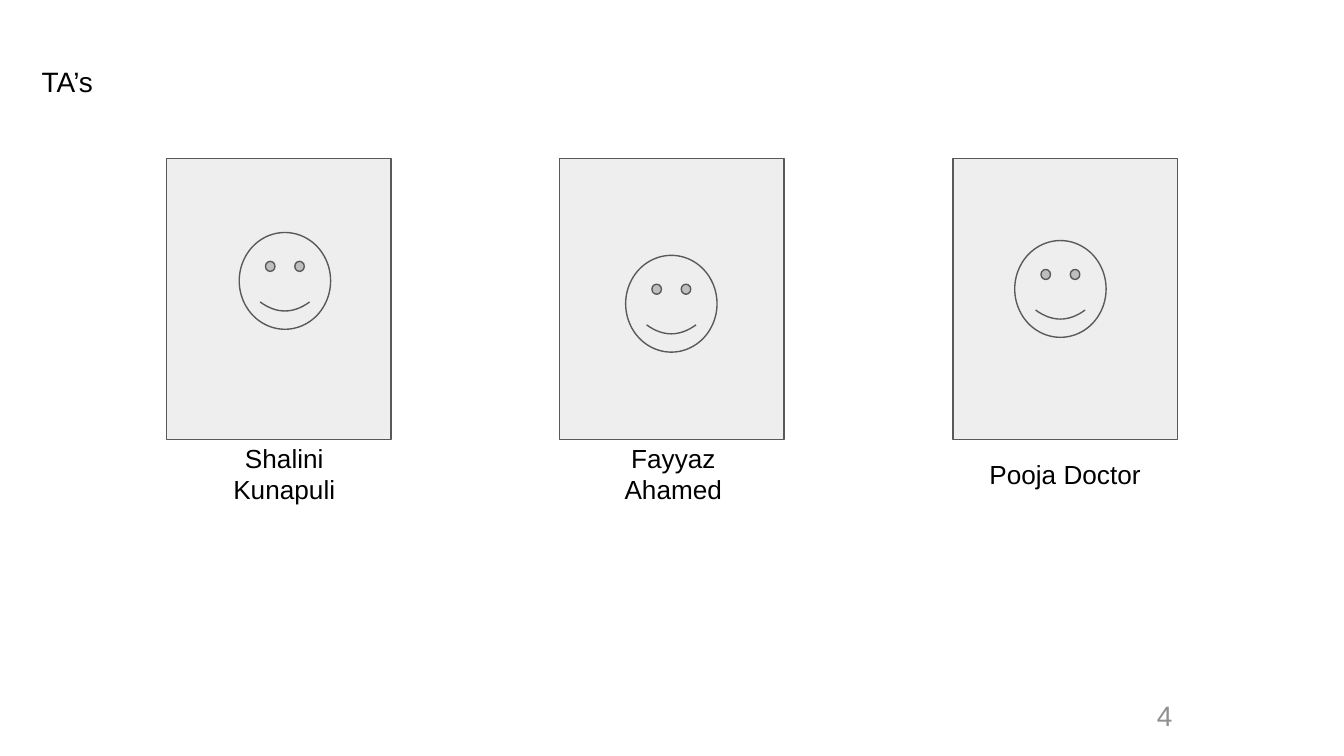
from dataclasses import dataclass

from pptx import Presentation
from pptx.dml.color import RGBColor
from pptx.enum.shapes import MSO_SHAPE as Shape
from pptx.enum.text import MSO_ANCHOR as Anchor, PP_ALIGN as Align
from pptx.util import Inches, Pt

SLIDE_W = 10
SLIDE_H = SLIDE_W * 9 / 16
FONT = "Arial"
BLACK, GREY, PALE, OUTLINE = "000000", "909090", "EEEEEE", "595959"

# Grid of portrait cards: one column per assistant
FIRST_COL, LAST_COL = 1.24, 7.09
CARD_TOP, CARD_W, CARD_H = 1.18, 1.67, 2.09
FACE_W, FACE_H = 0.68, 0.72
NAME_W, NAME_H = 1.59, 0.51


@dataclass(frozen=True)
class Box:
    left: float
    top: float
    width: float
    height: float

    def emu(self) -> tuple:
        return tuple(Inches(v) for v in (self.left, self.top, self.width, self.height))


@dataclass(frozen=True)
class Assistant:
    """Offsets are inches from the top left corner of the card."""
    name: str
    face_dx: float
    face_dy: float
    name_dx: float


ASSISTANTS = (
    Assistant("Shalini Kunapuli", 0.54, 0.55, 0.08),
    Assistant("Fayyaz Ahamed", 0.49, 0.72, 0.05),
    Assistant("Pooja Doctor", 0.46, 0.61, 0.04),
)
COL_STEP = (LAST_COL - FIRST_COL) / (len(ASSISTANTS) - 1)


def rgb(colour: str) -> RGBColor:
    return RGBColor.from_string(colour)


def add_outlined(s, kind: Shape, box: Box):
    sp = s.shapes.add_shape(kind, *box.emu())
    sp.shadow.inherit = False
    sp.fill.solid()
    sp.fill.fore_color.rgb = rgb(PALE)
    sp.line.color.rgb = rgb(OUTLINE)
    sp.line.width = Pt(0.75)
    return sp


def add_text(s, text: str, box: Box, size: float, colour: str = BLACK,
             align: Align = Align.LEFT, anchor: Anchor = Anchor.MIDDLE,
             inset: tuple[float, float] = (0.1, 0.1)) -> None:
    tf = s.shapes.add_textbox(*box.emu()).text_frame
    tf.word_wrap = True
    tf.vertical_anchor = anchor
    tf.margin_left = tf.margin_right = Inches(inset[0])
    tf.margin_top = tf.margin_bottom = Inches(inset[1])
    p = tf.paragraphs[0]
    p.text = text
    p.alignment = align
    p.font.name, p.font.size = FONT, Pt(size)
    p.font.color.rgb = rgb(colour)


def add_assistant(s, col: int, person: Assistant) -> None:
    left = FIRST_COL + col * COL_STEP
    add_outlined(s, Shape.RECTANGLE, Box(left, CARD_TOP, CARD_W, CARD_H))
    face = add_outlined(s, Shape.SMILEY_FACE, Box(
        left + person.face_dx, CARD_TOP + person.face_dy, FACE_W, FACE_H))
    face.adjustments[0] = 0.047
    add_text(s, person.name,
             Box(left + person.name_dx, CARD_TOP + CARD_H, NAME_W, NAME_H),
             14, align=Align.CENTER)


def main() -> None:
    prs = Presentation()
    prs.slide_width, prs.slide_height = Inches(SLIDE_W), Inches(SLIDE_H)
    s = prs.slides.add_slide(prs.slide_layouts[6])

    add_text(s, "TA’s", Box(0.27, 0.46, 3.52, 0.29), 15,
             anchor=Anchor.TOP, inset=(0.04, 0.02))
    add_text(s, "4", Box(8.51, 5.18, 0.28, 0.29), 15, GREY)
    for col, person in enumerate(ASSISTANTS):
        add_assistant(s, col, person)

    prs.save("out.pptx")


if __name__ == "__main__":
    main()
